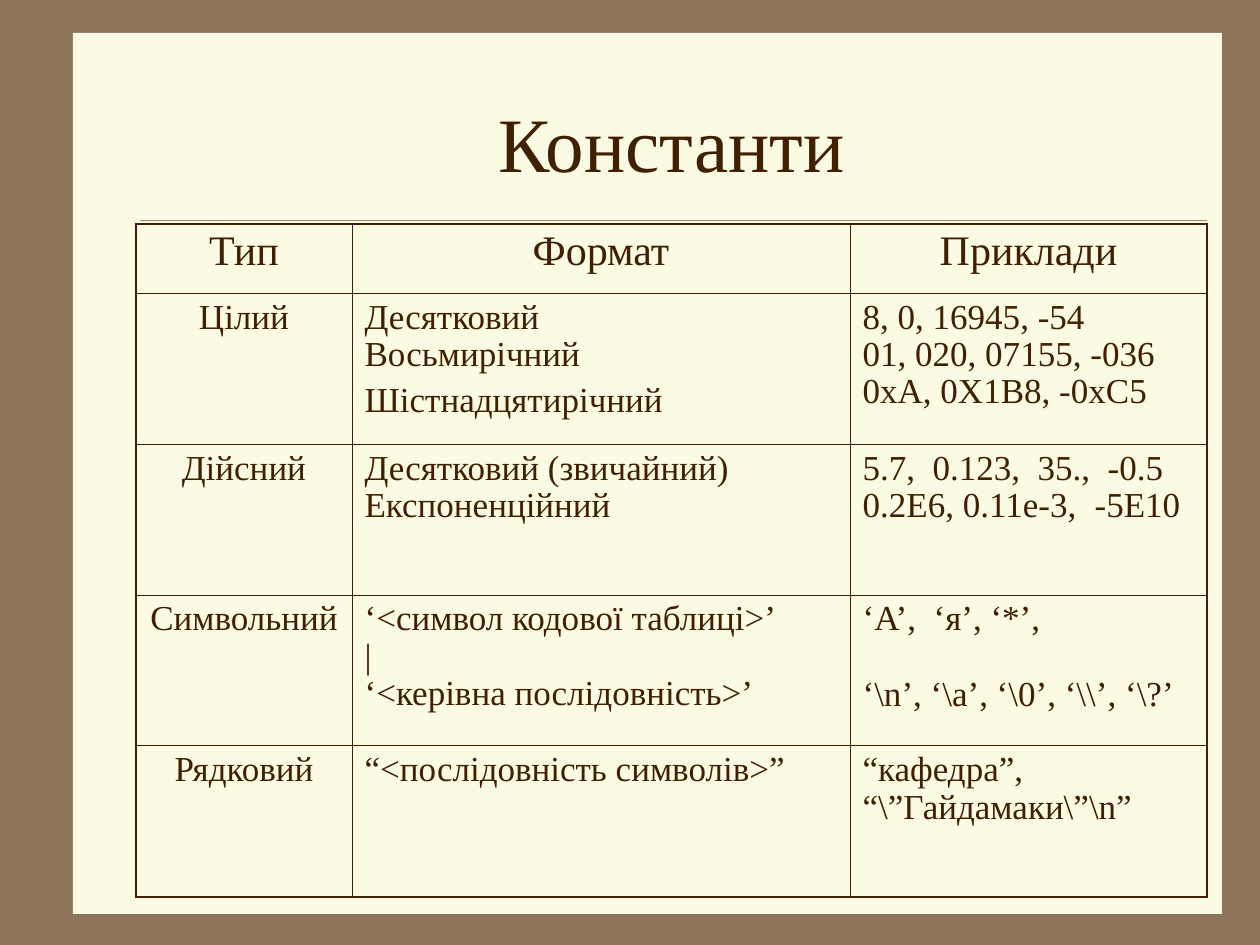
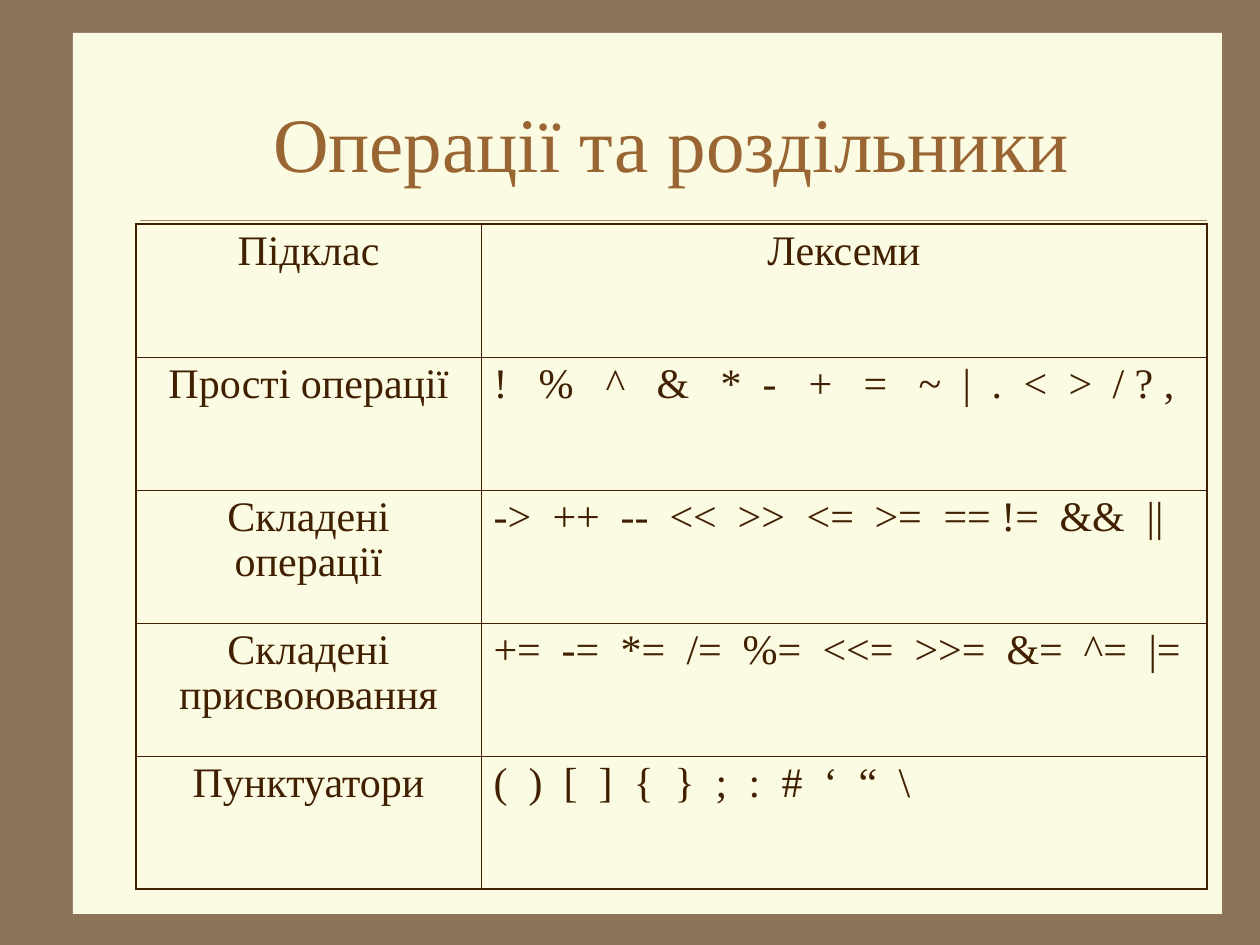
import dataclasses

import lxml.etree
import pptx
import pptx.dml.color
import pptx.enum.shapes
import pptx.enum.text
import pptx.oxml.ns
import pptx.util

SCALE = 914400 / 126
FONT = "Times New Roman"
COLOURS = {
    "frame": "8C735A",
    "panel": "FBFAE2",
    "rule": "A08366",
    "ink": "402000",
    "accent": "996633",
}
SLIDE_SIZE = (1260, 945)
PANEL = (73, 33, 1149, 881)
RULE = (140, 220, 1207, 220)
TITLE = (136, 63, 1071, 157)
TABLE_CORNER = (136, 224)
TITLE_SIZE, HEADER_SIZE = 44, 24
OUTER_BORDER, INNER_BORDER = 1.08, 0.45
LINE_SPACING = 0.96


@dataclasses.dataclass
class Line:
    """One paragraph: its text, space before in points, tab stops in px."""
    text: str
    gap: int = 0
    stops: tuple = ()


SLIDES = [
    {
        "title": "Константи",
        "title_colour": "ink",
        "columns": [216, 498, 357],
        "row_heights": [69] + [151] * 4,
        "body_size": 20,
        "rows": [
            ["Тип", "Формат", "Приклади"],
            ["Цілий",
             [Line("Десятковий\nВосьмирічний"), Line("Шістнадцятирічний", 5)],
             "8, 0, 16945, -54\n01, 020, 07155, -036\n0xA, 0X1B8, -0xC5"],
            ["Дійсний",
             "Десятковий (звичайний)\nЕкспоненційний",
             [Line("5.7,\t0.123,\t35.,\t-0.5", 0, (70, 175, 245)),
              Line("0.2E6, 0.11e-3,\t-5E10", 0, (232,))]],
            ["Символьний",
             "‘<символ кодової таблиці>’\n|\n‘<керівна послідовність>’",
             [Line("‘A’,\t‘я’, ‘*’,", 0, (71,)),
              Line(r"‘\n’, ‘\a’, ‘\0’, ‘\\’, ‘\?’", 22)]],
            ["Рядковий",
             "“<послідовність символів>”",
             "“кафедра”,\n“\\”Гайдамаки\\”\\n”"],
        ],
    },
    {
        "title": "Операції та роздільники",
        "title_colour": "accent",
        "columns": [345, 726],
        "row_heights": [133] * 5,
        "body_size": 24,
        "rows": [
            ["Підклас", "Лексеми"],
            ["Прості операції",
             [Line("!\t%\t^\t&\t*\t-\t+\t=\t~\t|\t.\t<\t>\t/ ? ,", 0,
                   (45, 112, 163, 227, 269, 315, 370, 425, 469, 498, 530, 575, 619))]],
            ["Складені операції",
             [Line("->\t++\t--\t<<\t>>\t<=\t>=\t== !=\t&&\t||", 0,
                   (59, 127, 176, 244, 313, 381, 450, 566, 653))]],
            ["Складені присвоювання",
             [Line("+=\t-=\t*=\t/=\t%=\t<<=\t>>=\t&=\t^=\t|=", 0,
                   (68, 127, 193, 249, 329, 421, 513, 590, 655))]],
            ["Пунктуатори",
             [Line("(\t)\t[\t]\t{\t}\t;\t:\t#\t‘\t“\t\\", 0,
                   (35, 70, 105, 140, 181, 222, 255, 288, 330, 365, 405))]],
        ],
    },
]


def px(*lengths):
    return [pptx.util.Emu(round(length * SCALE)) for length in lengths]


def colour(name):
    return pptx.dml.color.RGBColor.from_string(COLOURS[name])


def add_child(parent, tag, **attributes):
    return lxml.etree.SubElement(parent, pptx.oxml.ns.qn(tag), attributes)


def add_runs(paragraph, text, size, colour_name):
    for index, part in enumerate(text.split("\n")):
        if index:
            paragraph.add_line_break()
        run = paragraph.add_run()
        run.text = part
        run.font.name = FONT
        run.font.size = pptx.util.Pt(size)
        run.font.color.rgb = colour(colour_name)


def add_backdrop(slide):
    """Paint the frame, the panel and the rule behind the title."""
    slide.background.fill.solid()
    slide.background.fill.fore_color.rgb = colour("frame")

    panel = slide.shapes.add_shape(
        pptx.enum.shapes.MSO_SHAPE.RECTANGLE, *px(*PANEL))
    panel.shadow.inherit = False
    panel.fill.solid()
    panel.fill.fore_color.rgb = colour("panel")
    panel.line.fill.background()

    rule = slide.shapes.add_connector(
        pptx.enum.shapes.MSO_CONNECTOR.STRAIGHT, *px(*RULE))
    rule.line.color.rgb = colour("rule")
    rule.line.width = pptx.util.Pt(0.25)
    add_child(rule.element.spPr, "a:effectLst")

    tree = panel.element.getparent()
    tree.insert(2, panel.element)
    tree.insert(3, rule.element)


def set_title(slide, text, colour_name):
    title = slide.shapes.title
    title.left, title.top, title.width, title.height = px(*TITLE)
    frame = title.text_frame
    frame.auto_size = pptx.enum.text.MSO_AUTO_SIZE.NONE
    frame.vertical_anchor = pptx.enum.text.MSO_ANCHOR.MIDDLE
    paragraph = frame.paragraphs[0]
    paragraph.alignment = pptx.enum.text.PP_ALIGN.CENTER
    add_runs(paragraph, text, TITLE_SIZE, colour_name)


def set_borders(cell, outer_sides):
    properties = cell._tc.get_or_add_tcPr()
    for index, side in enumerate("LRTB"):
        width = OUTER_BORDER if side in outer_sides else INNER_BORDER
        border = add_child(properties, f"a:ln{side}", w=str(pptx.util.Pt(width)))
        fill = add_child(border, "a:solidFill")
        add_child(fill, "a:srgbClr", val=COLOURS["ink"])
        properties.insert(index, border)


def fill_cell(cell, content, size, alignment):
    cell.fill.background()
    lines = [Line(content)] if isinstance(content, str) else content
    for index, line in enumerate(lines):
        frame = cell.text_frame
        paragraph = frame.add_paragraph() if index else frame.paragraphs[0]
        paragraph.alignment = alignment
        paragraph.line_spacing = LINE_SPACING
        paragraph.space_before = pptx.util.Pt(line.gap)
        if line.stops:
            tabs = add_child(paragraph._p.get_or_add_pPr(), "a:tabLst")
            for position in px(*line.stops):
                add_child(tabs, "a:tab", pos=str(position), algn="l")
        add_runs(paragraph, line.text, size, "ink")


def add_table(slide, content):
    rows, columns = content["rows"], content["columns"]
    heights = content["row_heights"]
    table = slide.shapes.add_table(
        len(rows), len(columns),
        *px(*TABLE_CORNER, sum(columns), sum(heights))).table
    table.first_row = table.horz_banding = False
    for column, width in zip(table.columns, px(*columns)):
        column.width = width
    for row, height in zip(table.rows, px(*heights)):
        row.height = height

    align = pptx.enum.text.PP_ALIGN
    for r, row in enumerate(rows):
        for c, cell_content in enumerate(row):
            cell = table.cell(r, c)
            centred = r == 0 or c == 0
            fill_cell(cell, cell_content,
                      HEADER_SIZE if r == 0 else content["body_size"],
                      align.CENTER if centred else align.LEFT)
            edges = {"L": c == 0, "R": c == len(columns) - 1,
                     "T": r == 0, "B": r == len(rows) - 1}
            set_borders(cell, [side for side in edges if edges[side]])


def main():
    presentation = pptx.Presentation()
    presentation.slide_width, presentation.slide_height = px(*SLIDE_SIZE)
    title_only = presentation.slide_layouts[5]
    for content in SLIDES:
        slide = presentation.slides.add_slide(title_only)
        add_backdrop(slide)
        set_title(slide, content["title"], content["title_colour"])
        add_table(slide, content)
    presentation.save("out.pptx")


if __name__ == "__main__":
    main()
